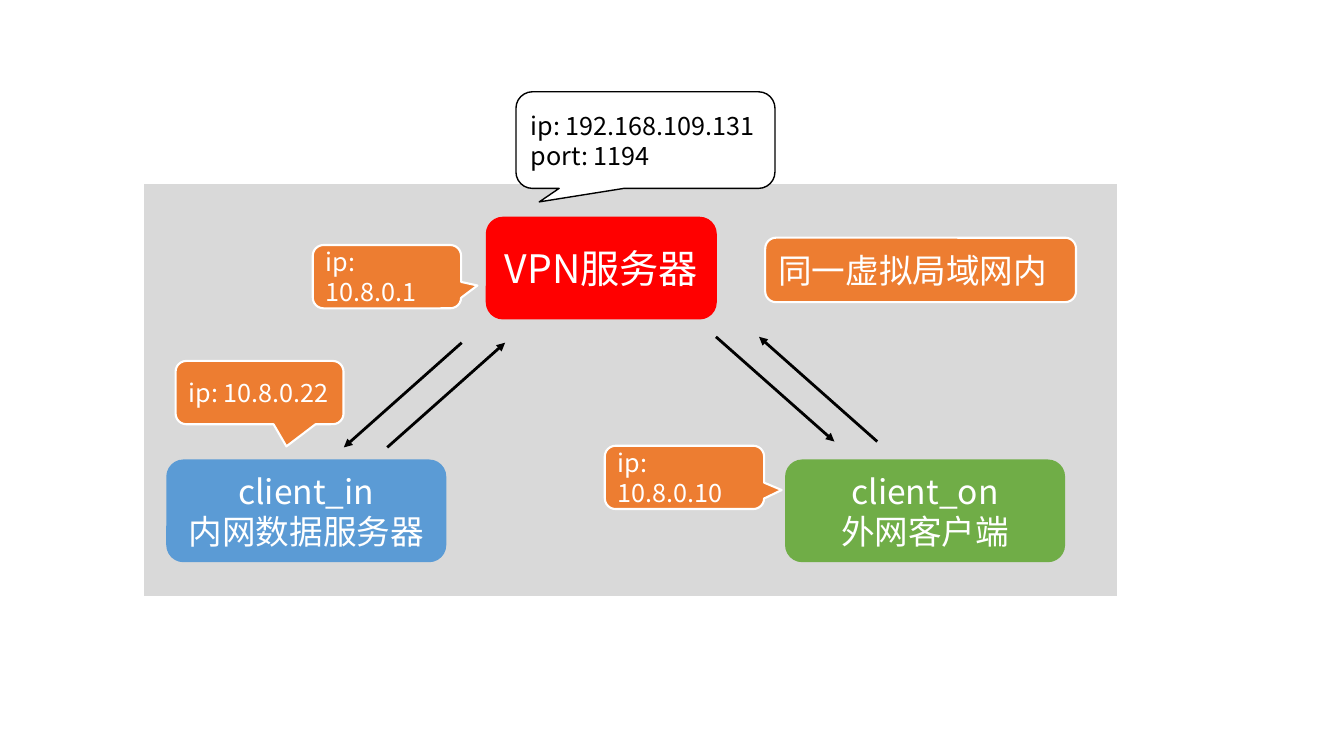
import pptx
import pptx.util
import pptx.dml.color
import pptx.enum.shapes
import pptx.enum.text
import pptx.oxml.ns
import lxml.etree

Pt = pptx.util.Pt
Shape = pptx.enum.shapes.MSO_SHAPE
Align = pptx.enum.text.PP_ALIGN
FONT = "Noto Sans CJK SC"
WHITE, BLACK, ORANGE = "FFFFFF", "000000", "ED7D31"


def paint(color_format, value):
    color_format.rgb = pptx.dml.color.RGBColor.from_string(value)


def add_box(kind, place, fill, border=None, border_width=1.5, lines=(), size=18,
            color=WHITE, align=Align.LEFT, adjustments=()):
    box = page.shapes.add_shape(kind, *[Pt(length) for length in place])
    box.shadow.inherit = False
    box.fill.solid()
    paint(box.fill.fore_color, fill)
    if border:
        paint(box.line.color, border)
        box.line.width = Pt(border_width)
    else:
        box.line.fill.background()
    for index, value in enumerate(adjustments):
        box.adjustments[index] = value
    frame = box.text_frame
    frame.word_wrap = True
    frame.vertical_anchor = pptx.enum.text.MSO_ANCHOR.MIDDLE
    for index, line in enumerate(lines):
        para = frame.add_paragraph() if index else frame.paragraphs[0]
        para.text = line
        para.alignment = align
        para.font.size = Pt(size)
        para.font.name = FONT
        paint(para.font.color, color)
        for span in para.runs:
            span.font.language_id = pptx.enum.lang.MSO_LANGUAGE_ID.SIMPLIFIED_CHINESE
            properties = span.font._element
            lxml.etree.SubElement(properties, pptx.oxml.ns.qn("a:ea"), typeface=FONT)


deck = pptx.Presentation()
deck.slide_width, deck.slide_height = Pt(960), Pt(540)
page = deck.slides.add_slide(deck.slide_layouts[6])

add_box(Shape.RECTANGLE, (102.2, 130.4, 696.2, 295.8), "D9D9D9", WHITE)

nodes = [
    (347, 154.8, 165, "FF0000", 28, ["VPN服务器"]),
    (118.8, 328.2, 200, "5B9BD5", 24, ["client_in", "内网数据服务器"]),
    (560.8, 328.2, 200, "70AD47", 24, ["client_on", "外网客户端"]),
]
for left, top, width, fill, size, lines in nodes:
    add_box(Shape.ROUNDED_RECTANGLE, (left, top, width, 73.4), fill,
            lines=lines, size=size, align=Align.CENTER)

arrows = [
    (329.8, 244.8, 245.6, 319.6),
    (276.6, 319.6, 360.8, 244.8),
    (511.4, 240.6, 596, 315.4),
    (626.6, 315.4, 542.2, 240.6),
]
for ends in arrows:
    arrow = page.shapes.add_connector(
        pptx.enum.shapes.MSO_CONNECTOR.STRAIGHT, *[Pt(length) for length in ends])
    paint(arrow.line.color, BLACK)
    arrow.line.width = Pt(2)
    lxml.etree.SubElement(arrow.line._get_or_add_ln(), pptx.oxml.ns.qn("a:tailEnd"), type="triangle")
    lxml.etree.SubElement(arrow._element.spPr, pptx.oxml.ns.qn("a:effectLst"))

add_box(Shape.ROUNDED_RECTANGULAR_CALLOUT, (368.6, 65.6, 185, 69), WHITE, BLACK, 1,
        ["ip: 192.168.109.131", "port: 1194"], color=BLACK, adjustments=(-0.41, 0.64, 0.17))
add_box(Shape.ROUNDED_RECTANGLE, (546.6, 169.8, 222, 46), ORANGE, WHITE,
        lines=["同一虚拟局域网内"], size=24)

addresses = [
    (223.4, 175, 106, "ip: 10.8.0.1", (0.61, 0.14, 0.17)),
    (125.4, 257.8, 120, "ip: 10.8.0.22", (0.16, 0.85, 0.17)),
    (432, 318.4, 113.8, "ip: 10.8.0.10", (0.61, 0.2, 0.17)),
]
for left, top, width, address, adjustments in addresses:
    add_box(Shape.ROUNDED_RECTANGULAR_CALLOUT, (left, top, width, 45.2), ORANGE, WHITE,
            lines=[address], adjustments=adjustments)

deck.save("out.pptx")
